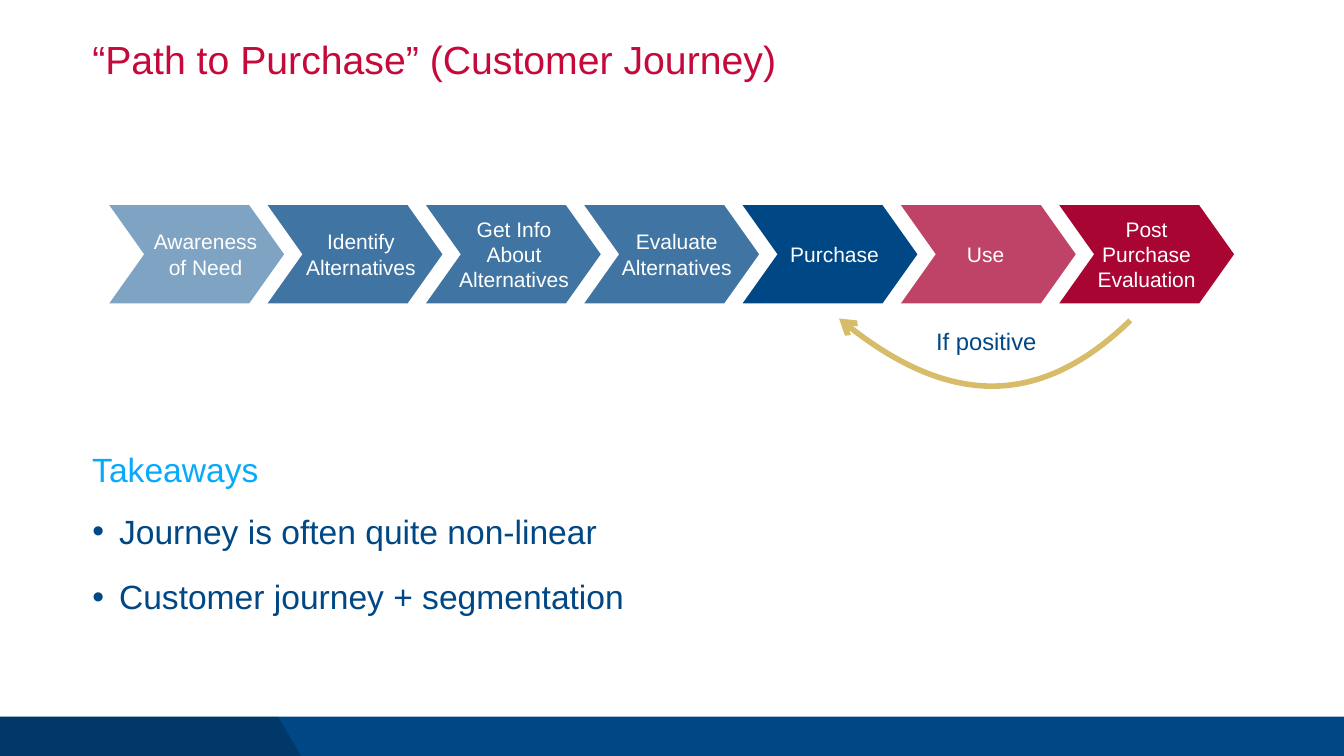
from pptx import Presentation
from pptx.dml.color import RGBColor
from pptx.enum.shapes import MSO_SHAPE
from pptx.enum.text import MSO_ANCHOR, MSO_AUTO_SIZE, PP_ALIGN
from pptx.oxml.ns import qn
from pptx.util import Cm, Pt
from lxml import etree

CHEVRON, RECT = MSO_SHAPE.CHEVRON, MSO_SHAPE.RECTANGLE
TOP, MIDDLE = MSO_ANCHOR.TOP, MSO_ANCHOR.MIDDLE
LEFT, CENTER = PP_ALIGN.LEFT, PP_ALIGN.CENTER
NO_FIT = MSO_AUTO_SIZE.NONE

COLORS = {
    "navy": "004785", "blue": "4075A3", "pale": "7FA3C2", "sky": "06AAFC",
    "red": "C5093B", "rose": "BE4366", "crimson": "A90533",
    "gold": "D7BC6A", "black": "000000", "white": "FFFFFF",
}

# Stage lines, chevron colour, left edge of the label (cm)
STAGES = [
    (["Awareness", "of Need"], "pale", 6.6),
    (["Identify", "Alternatives"], "blue", 14.43),
    (["Get Info", "About", "Alternatives"], "blue", 22.15),
    (["Evaluate", "Alternatives"], "blue", 30.35),
    (["Purchase"], "navy", 38.3),
    (["Use"], "rose", 45.92),
    (["Post", "Purchase", "Evaluation"], "crimson", 54.03),
]
STAGE_LEFT, STAGE_PITCH = 5.51, 7.98
MARGIN, WIDTH = 4.65, 58.42


def color(name):
    return RGBColor.from_string(COLORS[name])


def sub(parent, tag, **attrs):
    return etree.SubElement(parent, qn(tag), attrs)


def set_all(obj, values):
    for name, value in values.items():
        setattr(obj, name, value)


class Builder:
    font = "Arial"

    def __init__(self, slide):
        self.slide = slide
        self.shapes = slide.shapes

    def paint(self, sp, fill, alpha=None):
        sp.shadow.inherit = False
        sp.fill.solid()
        sp.fill.fore_color.rgb = color(fill)
        sp.line.fill.background()
        if alpha:
            clr = sp._element.spPr.find(qn("a:solidFill")).find(qn("a:srgbClr"))
            sub(clr, "a:alpha", val=str(alpha * 1000))

    def shape(self, kind, box, fill):
        sp = self.shapes.add_shape(kind, *map(Cm, box))
        self.paint(sp, fill)
        return sp

    def outline(self, points, close=True):
        start, *rest = [(Cm(x), Cm(y)) for x, y in points]
        fb = self.shapes.build_freeform(*start)
        fb.add_line_segments(rest, close=close)
        return fb.convert_to_shape()

    def curve_arrow(self, start, control1, control2, end, lowest, line, width):
        sp = self.outline([start, lowest, end], close=False)
        sp.shadow.inherit = False
        sp.fill.background()
        sp.line.color.rgb = color(line)
        sp.line.width = Pt(width)
        # Swap the straight segments for one Bezier segment
        route = sp._element.find(".//" + qn("a:path"))
        for seg in route.findall(qn("a:lnTo")):
            route.remove(seg)
        bezier = sub(route, "a:cubicBezTo")
        for x, y in (control1, control2, end):
            sub(bezier, "a:pt", x=str(Cm(x) - sp.left), y=str(Cm(y) - sp.top))
        sub(sp._element.spPr.find(qn("a:ln")), "a:tailEnd", type="arrow")

    def put_lines(self, sp, lines, size, fill, align=LEFT, anchor=TOP, inset=0,
                  spacing=1.0, before=0, bullet=False):
        tf = sp.text_frame
        margins = dict.fromkeys(
            ("margin_left", "margin_top", "margin_right", "margin_bottom"), Cm(inset))
        set_all(tf, {"word_wrap": True, "auto_size": NO_FIT,
                     "vertical_anchor": anchor, **margins})
        for i, line in enumerate(lines):
            p = tf.add_paragraph() if i else tf.paragraphs[0]
            set_all(p, {"alignment": align, "line_spacing": spacing,
                        "space_before": Pt(before if i else 0)})
            if bullet:
                pPr = p._p.get_or_add_pPr()
                pPr.set("marL", str(Cm(1.35)))
                pPr.set("indent", str(-Cm(1.35)))
                sub(pPr, "a:buChar", char="•")
            r = p.add_run()
            r.text = line
            set_all(r.font, {"name": self.font, "size": Pt(size)})
            r.font.color.rgb = color(fill)

    def text(self, box, lines, size, fill, **style):
        sp = self.shapes.add_textbox(*map(Cm, box))
        self.put_lines(sp, lines, size, fill, **style)

    def placeholder(self, idx, box, lines, size, fill, **style):
        sp = self.slide.placeholders[idx]
        set_all(sp, dict(zip(("left", "top", "width", "height"), map(Cm, box))))
        self.put_lines(sp, lines, size, fill, **style)


def main():
    prs = Presentation()
    prs.slide_width, prs.slide_height = Cm(67.74), Cm(38.1)
    s = Builder(prs.slides.add_slide(prs.slide_layouts[1]))

    # Footer band with its darker slanted end
    s.shape(RECT, (0, 36.12, 67.74, 1.98), "navy")
    slant = s.outline([(0, 36.12), (14.02, 36.12), (15.16, 38.1), (0, 38.1)])
    s.paint(slant, "black", alpha=20)

    # Title and takeaways
    s.placeholder(0, (MARGIN, 2.03, WIDTH, 2.67),
                  ["“Path to Purchase” (Customer Journey)"], 56, "red", spacing=0.9)
    s.text((MARGIN, 22.4, WIDTH, 3.07), ["Takeaways"], 48, "sky", spacing=1.1)
    s.placeholder(1, (MARGIN, 25.55, WIDTH, 9.86),
                  ["Journey is often quite non-linear", "Customer journey + segmentation"],
                  48, "navy", spacing=1.1, before=30, bullet=True)

    # Journey stages
    for i, (lines, fill, label_left) in enumerate(STAGES):
        sp = s.shape(CHEVRON, (STAGE_LEFT + i * STAGE_PITCH, 10.34, 8.81, 4.95), fill)
        sp.adjustments[0] = 0.355
        s.text((label_left, 10.74, 7.52, 4.14), lines, 30, "white",
               align=CENTER, anchor=MIDDLE, inset=0.13)

    # Loop back to purchase
    s.text((45.95, 16.36, 7.52, 2.03), ["If positive"], 34, "navy",
           align=CENTER, inset=0.13)
    s.curve_arrow((56.97, 16.15), (52.48, 20.5), (47.57, 20.47), (42.29, 16.05),
                  lowest=(49.9, 19.38), line="gold", width=8)

    prs.save("out.pptx")


if __name__ == "__main__":
    main()
